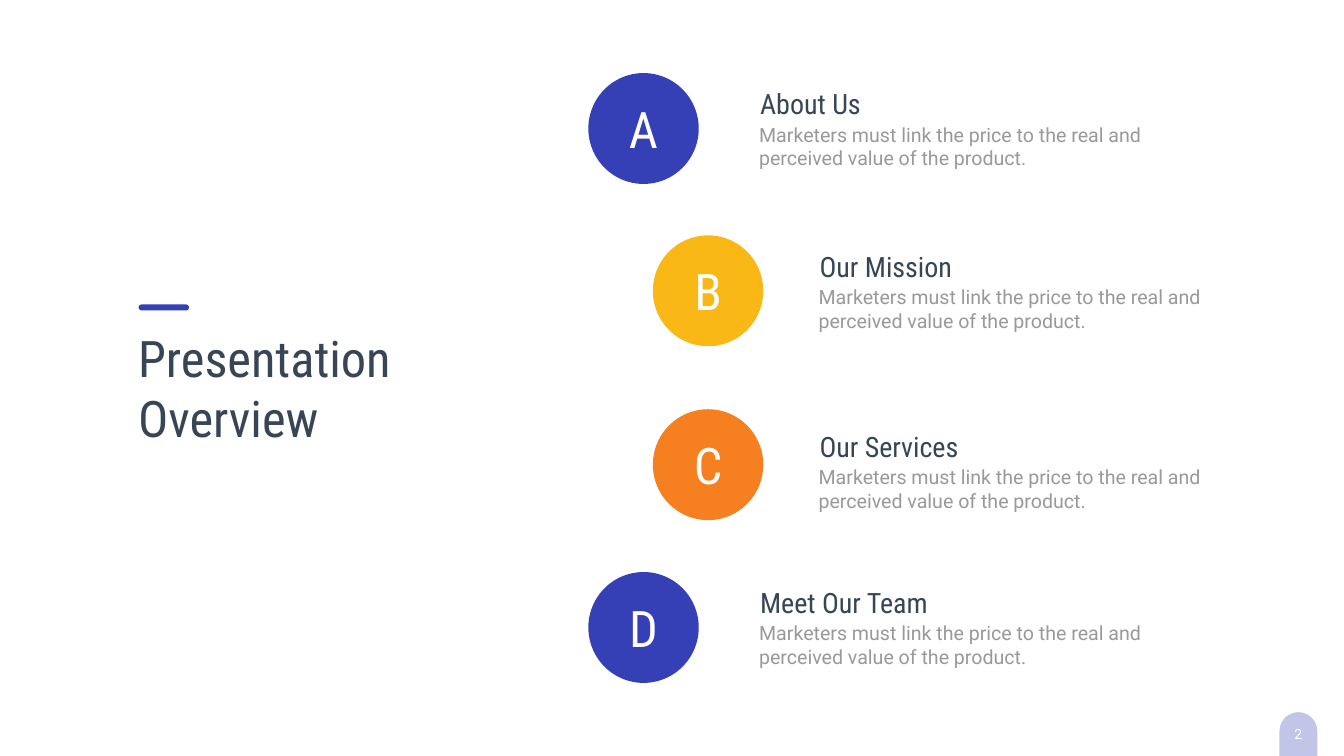
from dataclasses import dataclass

from lxml.etree import SubElement
from pptx import Presentation
from pptx.dml.color import RGBColor
from pptx.enum.shapes import MSO_SHAPE
from pptx.enum.text import MSO_ANCHOR, MSO_AUTO_SIZE, PP_ALIGN
from pptx.oxml.ns import qn
from pptx.util import Inches, Pt


@dataclass(frozen=True)
class Theme:
    paper: str = "FEFFFE"
    blue: str = "3540B6"
    gold: str = "FAB817"
    orange: str = "F68020"
    ink: str = "374556"
    grey: str = "999999"
    white: str = "FFFFFF"
    head: str = "Roboto Condensed"
    body: str = "Roboto"
    large: int = 72
    mid: int = 40
    small: int = 28
    tiny: int = 20


theme = Theme()
deck = Presentation()
deck.slide_width, deck.slide_height = Inches(26.66), Inches(15)
slide = deck.slides.add_slide(deck.slide_layouts[6])
back = slide.background.fill
back.solid()
back.fore_color.rgb = RGBColor.from_string(theme.paper)


def add_shape(kind, box, color):
    shape = slide.shapes.add_shape(kind, *map(Inches, box))
    shape.shadow.inherit = False
    shape.fill.solid()
    shape.fill.fore_color.rgb = RGBColor.from_string(color)
    shape.line.fill.background()
    return shape


def set_text(shape, text, face, size, color, align=PP_ALIGN.LEFT, **form):
    """Write one paragraph; form holds extra text frame settings."""
    frame = shape.text_frame
    for name, value in {"word_wrap": True, **form}.items():
        setattr(frame, name, value)
    para = frame.paragraphs[0]
    para.text = text
    para.alignment = align
    look = {"name": face, "size": Pt(size)}
    for name, value in look.items():
        setattr(para.font, name, value)
    para.font.color.rgb = RGBColor.from_string(color)


# Page number on a faint tab that runs off the bottom edge
tab = add_shape(MSO_SHAPE.ROUNDED_RECTANGLE, (24.85, 14.66, 1.81, 0.75), theme.blue)
tab.adjustments[0] = 0.5
tab.rotation = 90
tint = tab.fill._xPr.find(qn("a:solidFill"))[0]
SubElement(tint, qn("a:alpha"), val="30000")
page = slide.shapes.add_textbox(*map(Inches, (25.3, 14.3, 0.91, 0.54)))
set_text(page, "2", theme.body, theme.tiny, theme.white, PP_ALIGN.CENTER,
         margin_top=Inches(0.1), margin_bottom=Inches(0.1))

# Slide title under a short bar
title = slide.shapes.add_textbox(*map(Inches, (2.64, 6.44, 5.25, 2.52)))
set_text(title, "Presentation Overview", theme.head, theme.large, theme.ink,
         auto_size=MSO_AUTO_SIZE.SHAPE_TO_FIT_TEXT)
bar = add_shape(MSO_SHAPE.ROUNDED_RECTANGLE, (2.75, 6.04, 1, 0.12), theme.blue)
bar.adjustments[0] = 0.5

# Agenda: the middle two entries are indented
blurb = "Marketers must link the price to the real and perceived value of the product."
outer, inner = (11.67, 14.96), (12.95, 16.14)
topics = [
    ("A", "About Us", theme.blue, outer, 1.45, 1.67),
    ("B", "Our Mission", theme.gold, inner, 4.67, 4.9),
    ("C", "Our Services", theme.orange, inner, 8.12, 8.47),
    ("D", "Meet Our Team", theme.blue, outer, 11.35, 11.57),
]
for mark, name, color, (left, text_left), top, text_top in topics:
    disc = add_shape(MSO_SHAPE.OVAL, (left, top, 2.19, 2.2), color)
    set_text(disc, mark, theme.head, theme.large, theme.white, PP_ALIGN.CENTER,
             vertical_anchor=MSO_ANCHOR.MIDDLE)
    rows = [
        (name, (text_left + 0.02, text_top, 3.84, 0.77), theme.head, theme.mid, theme.ink),
        (blurb, (text_left, text_top + 0.71, 7.92, 1.04), theme.body, theme.small, theme.grey),
    ]
    for text, box, face, size, tone in rows:
        label = slide.shapes.add_textbox(*map(Inches, box))
        set_text(label, text, face, size, tone,
                 auto_size=MSO_AUTO_SIZE.SHAPE_TO_FIT_TEXT)

deck.save("out.pptx")
